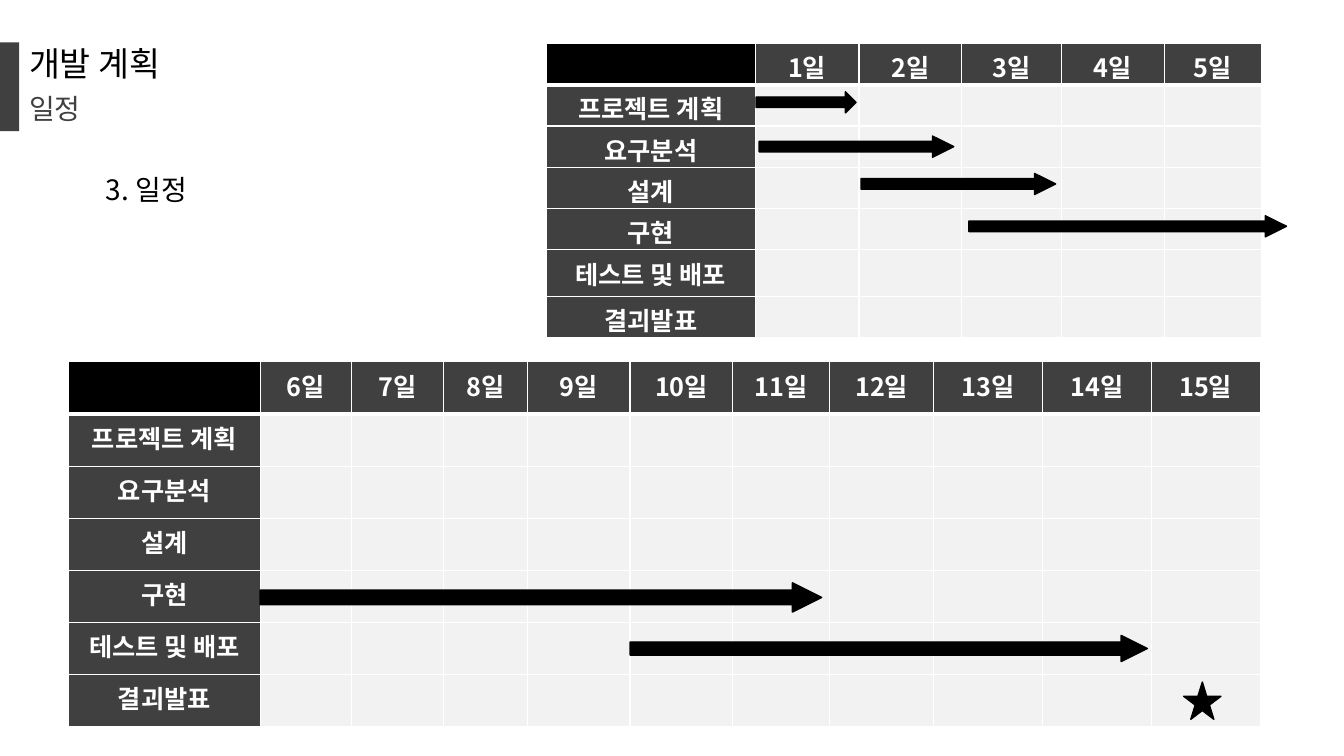
"""Build the development schedule slide with two day tables and task bars."""
from lxml import etree
from pptx import Presentation
from pptx import util as u
from pptx.dml.color import RGBColor
from pptx.enum import shapes, text
from pptx.oxml.ns import qn

FONT = "Noto Sans CJK KR"
COLORS = {"black": "000000", "dark": "404040", "cell": "F2F2F2", "white": "FFFFFF"}
ARROW, STAR = shapes.MSO_SHAPE.RIGHT_ARROW, shapes.MSO_SHAPE.STAR_5_POINT
TASKS = ["프로젝트 계획", "요구분석", "설계", "구현", "테스트 및 배포", "결괴발표"]


def set_text(tf, words, size, color, bold=False):
    p = tf.paragraphs[0]
    p.text = words
    p.font.size, p.font.bold, p.font.name = u.Pt(size), bold, FONT
    p.font.color.rgb = RGBColor.from_string(COLORS[color])
    for r in p.runs:
        etree.SubElement(r.font._element, qn("a:ea"), typeface=FONT)
    return p


def add_solid(kind, left, top, width, height, color):
    sp = s.shapes.add_shape(kind, *map(u.Inches, (left, top, width, height)))
    sp.shadow.inherit = False
    sp.fill.solid()
    sp.fill.fore_color.rgb = RGBColor.from_string(COLORS[color])
    sp.line.color.rgb = RGBColor.from_string(COLORS[color])
    sp.line.width = u.Pt(1)
    return sp


prs = Presentation()
prs.slide_width, prs.slide_height = u.Inches(13.33), u.Inches(7.5)
s = prs.slides.add_slide(prs.slide_layouts[6])

add_solid(shapes.MSO_SHAPE.RECTANGLE, 0, 0.42, 0.19, 0.88, "dark").line.fill.background()

headings = [
    ("개발 계획", 0.19, 0.42, 2.82, 0.5, 24, "black", 0.9),
    ("일정", 0.19, 0.92, 1.09, 0.37, 20, "dark", 0.8),
    ("3. 일정", 0.95, 1.66, 10.41, 0.44, 20, "black", 1.0),
]
for words, left, top, width, height, size, color, spacing in headings:
    tf = s.shapes.add_textbox(*map(u.Inches, (left, top, width, height))).text_frame
    tf.word_wrap = True
    p = set_text(tf, words, size, color)
    p.line_spacing = spacing

# Each bar: shape, row, column, nudge right, nudge down, width, height, head ratio.
schedules = [
    (0.68, 3.59, [1.9, 0.91, 0.91, 0.83, 1.02, 1.02, 0.96, 1.03, 1.08, 1.08, 1.08],
     [3.62 / 7] * 7, 6,
     [(ARROW, 4, 1, 0, 0.01, 5.57, 0.29, 1),
      (ARROW, 5, 5, 0, 0, 5.13, 0.26, 1),
      (STAR, 6, 10, 0.32, 0, 0.37, 0.37, None)]),
    (5.42, 0.43, [2.07, 1.03, 1.02, 0.99, 1.02, 0.96],
     [0.41] * 5 + [0.46, 0.41], 1,
     [(ARROW, 1, 1, 0.01, -0.03, 0.99, 0.21, 0.5),
      (ARROW, 2, 1, 0.04, 0, 1.93, 0.21, 1),
      (ARROW, 3, 2, 0.02, -0.04, 1.93, 0.21, 1),
      (ARROW, 4, 3, 0.07, -0.03, 3.15, 0.21, 1)]),
]
for left, top, cols, rows, first_day, bars in schedules:
    frame = s.shapes.add_table(len(rows), len(cols), *map(
        u.Inches, (left, top, sum(cols), sum(rows))))
    table = frame.table
    for column, width in zip(table.columns, cols):
        column.width = u.Inches(width)
    for row, height in zip(table.rows, rows):
        row.height = u.Inches(height)
    days = [f"{first_day + i}일" for i in range(len(cols) - 1)]
    for i in range(len(rows)):
        for j in range(len(cols)):
            cell = table.cell(i, j)
            tcPr = cell._tc.get_or_add_tcPr()
            for side in "LRTB":
                thick = side == "B" and i == 0 or side == "T" and i == 1
                ln = etree.SubElement(tcPr, qn(f"a:ln{side}"), w=str(u.Pt(3 if thick and i == 0 else 1)))
                fill = etree.SubElement(ln, qn("a:solidFill"))
                etree.SubElement(fill, qn("a:srgbClr"), val=COLORS["white"])
            words = days[j - 1] if i == 0 and j else TASKS[i - 1] if i and j == 0 else ""
            color = "dark" if words else "cell" if i else "black"
            cell.fill.solid()
            cell.fill.fore_color.rgb = RGBColor.from_string(COLORS[color])
            if words:
                p = set_text(cell.text_frame, words, 18, "white", True)
                p.alignment = text.PP_ALIGN.CENTER
    for kind, row, col, dx, dy, width, height, head in bars:
        middle = top + sum(rows[:row]) + rows[row] / 2
        sp = add_solid(kind, left + sum(cols[:col]) + dx, middle + dy - height / 2,
                       width, height, "black")
        if head:
            sp.adjustments[1] = head

prs.save("out.pptx")
